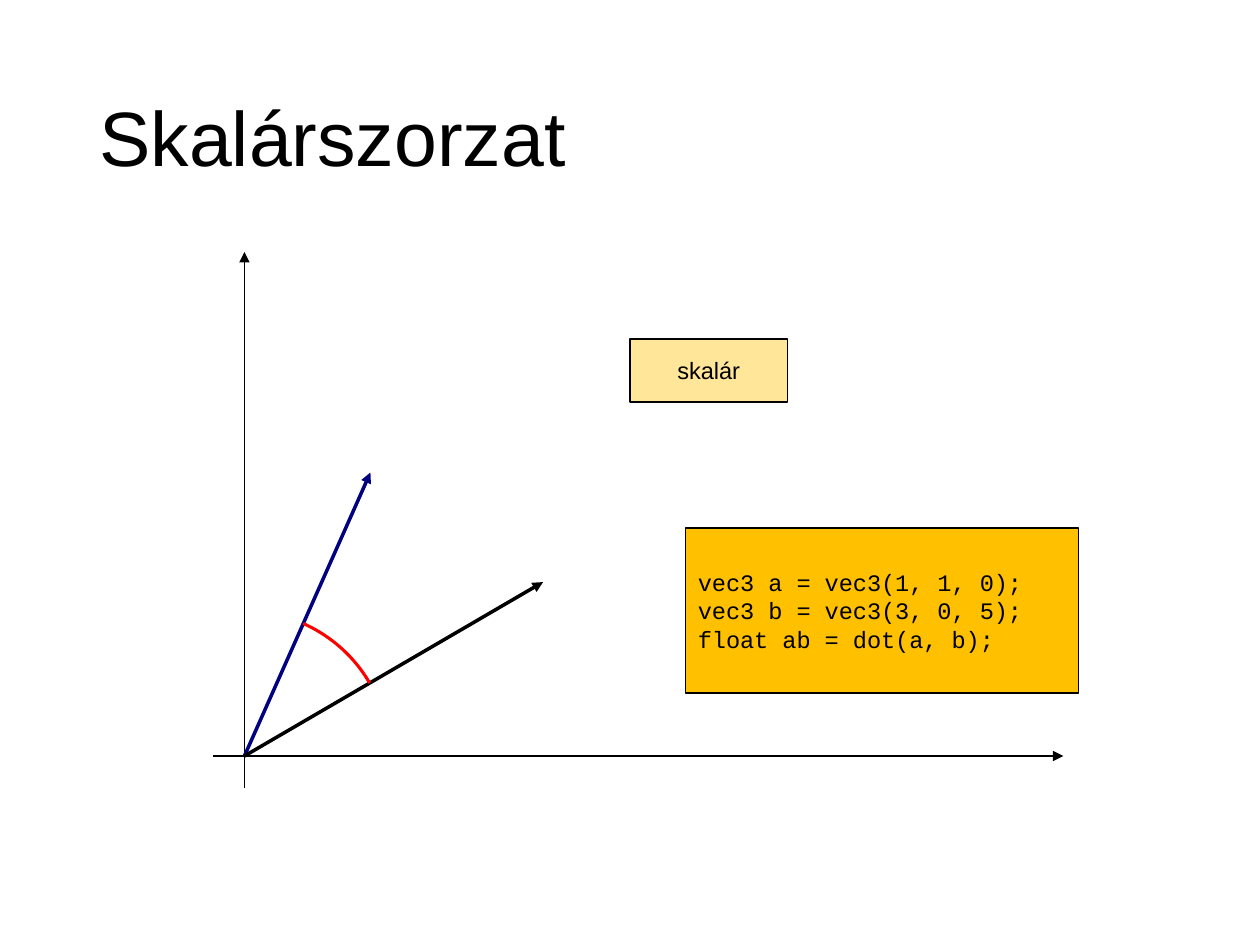
from math import atan2, degrees

from lxml.etree import SubElement
from pptx import Presentation
from pptx.dml.color import RGBColor
from pptx.enum.shapes import MSO_CONNECTOR as Connector, MSO_SHAPE as Shape
from pptx.enum.text import MSO_ANCHOR as Anchor, PP_ALIGN as Align
from pptx.oxml.ns import qn
from pptx.util import Inches, Pt

BLACK = RGBColor(0x00, 0x00, 0x00)
NAVY = RGBColor(0x00, 0x00, 0x80)
RED = RGBColor(0xFF, 0x00, 0x00)
CREAM = RGBColor(0xFF, 0xE6, 0x99)
AMBER = RGBColor(0xFF, 0xC0, 0x00)

ORIGIN = (1.94, 6)
VECTOR_A = (4.31, 4.62)
VECTOR_B = (2.94, 3.75)
ARC_RADIUS = 1.15

CODE = [
    "vec3 a = vec3(1, 1, 0);",
    "vec3 b = vec3(3, 0, 5);",
    "float ab = dot(a, b);",
]


def clockwise_angle(tip):
    """Direction from the origin to tip, in degrees clockwise from the x axis."""
    return degrees(atan2(tip[1] - ORIGIN[1], tip[0] - ORIGIN[0])) % 360


class SlideBuilder:
    font = "Arial"
    code_font = "Courier New"
    title_size = Pt(44)
    body_size = Pt(13.5)
    thin = Pt(0.75)

    def __init__(self, page):
        self.page = page

    def set_text(self, box, lines, font, size, align=Align.LEFT, spacing=None):
        frame = box.text_frame
        frame.vertical_anchor = Anchor.MIDDLE
        frame.text = "\n".join(lines)
        for para in frame.paragraphs:
            para.alignment = align
            para.line_spacing = spacing
            para.font.name = font
            para.font.size = size
            para.font.color.rgb = BLACK
        return frame

    def title(self, text, *place):
        box = self.page.shapes.add_textbox(*map(Inches, place))
        frame = self.set_text(box, [text], self.font, self.title_size, spacing=0.9)
        frame.word_wrap = True

    def panel(self, lines, place, fill, font, align=Align.LEFT):
        box = self.page.shapes.add_shape(Shape.RECTANGLE, *map(Inches, place))
        box.shadow.inherit = False
        box.fill.solid()
        box.fill.fore_color.rgb = fill
        box.line.color.rgb = BLACK
        box.line.width = self.thin
        frame = self.set_text(box, lines, font, self.body_size, align)
        frame.word_wrap = False

    def arrow(self, start, end, color=BLACK, width=thin):
        line = self.page.shapes.add_connector(
            Connector.STRAIGHT, *map(Inches, (*start, *end)))
        line.line.color.rgb = color
        line.line.width = width
        properties = line._element.spPr
        SubElement(properties.find(qn("a:ln")), qn("a:tailEnd"), type="triangle")
        SubElement(properties, qn("a:effectLst"))

    def angle_arc(self, start_tip, end_tip, color, width):
        """Arc around the origin, clockwise from one vector to the other."""
        corner = [Inches(value - ARC_RADIUS) for value in ORIGIN]
        arc = self.page.shapes.add_shape(
            Shape.ARC, *corner, Inches(2 * ARC_RADIUS), Inches(2 * ARC_RADIUS))
        arc.shadow.inherit = False
        arc.fill.background()
        arc.line.color.rgb = color
        arc.line.width = width
        # One degree is 60000 units, and an adjustment of 1 is 100000 units.
        for index, tip in enumerate((start_tip, end_tip)):
            arc.adjustments[index] = clockwise_angle(tip) * 0.6


def main():
    deck = Presentation()
    deck.slide_width, deck.slide_height = Inches(10), Inches(7.5)
    slide = SlideBuilder(deck.slides.add_slide(deck.slide_layouts[6]))

    slide.title("Skalárszorzat", 0.69, 0.4, 8.62, 1.45)
    slide.arrow((ORIGIN[0], 6.25), (ORIGIN[0], 2))
    slide.arrow((1.69, ORIGIN[1]), (8.44, ORIGIN[1]))
    slide.arrow(ORIGIN, VECTOR_B, NAVY, Pt(2))
    slide.arrow(ORIGIN, VECTOR_A, BLACK, Pt(2))
    slide.panel(["skalár"], (5, 2.69, 1.25, 0.5), CREAM, slide.font, Align.CENTER)
    slide.panel(CODE, (5.44, 4.19, 3.12, 1.31), AMBER, slide.code_font)
    slide.angle_arc(VECTOR_B, VECTOR_A, RED, Pt(1.75))

    deck.save("out.pptx")


if __name__ == "__main__":
    main()
